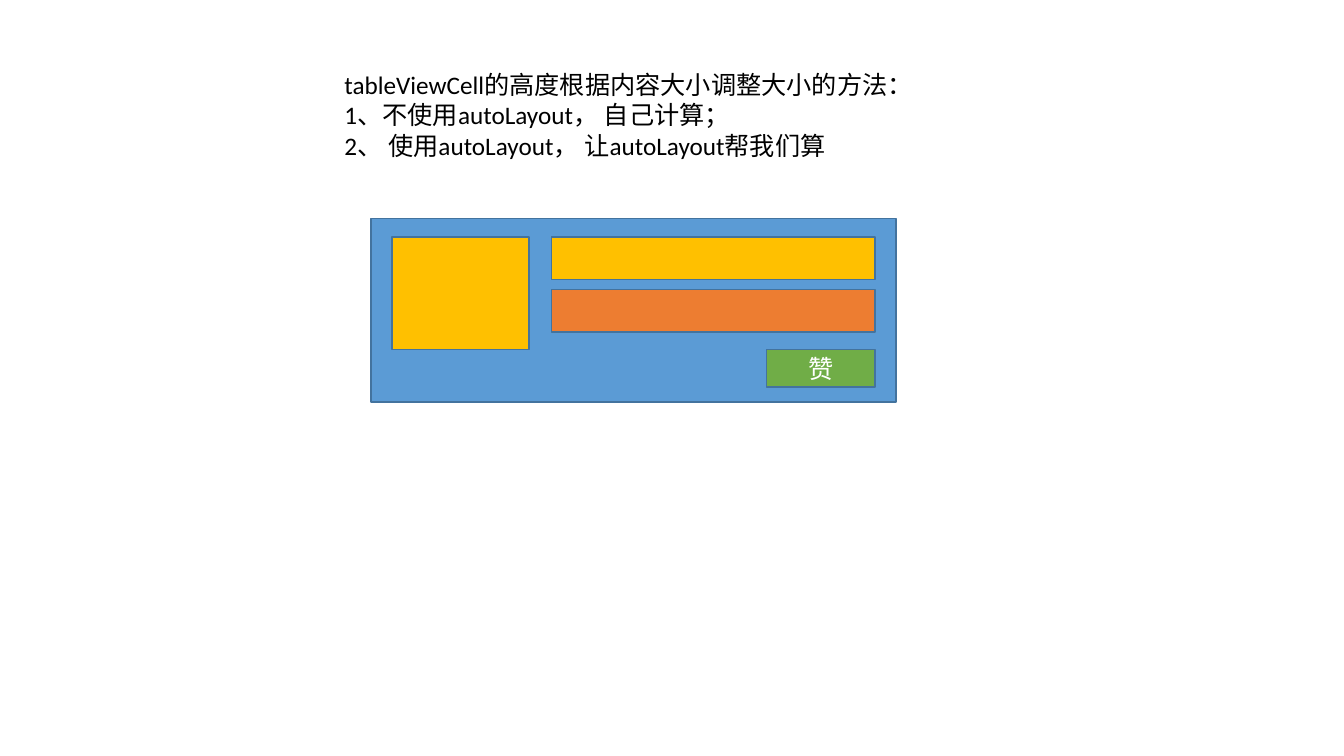
from pptx import Presentation
from pptx.dml.color import RGBColor
from pptx.enum.shapes import MSO_SHAPE
from pptx.enum.text import MSO_ANCHOR, MSO_AUTO_SIZE, PP_ALIGN
from pptx.util import Pt

RECT = MSO_SHAPE.RECTANGLE
MIDDLE = MSO_ANCHOR.MIDDLE
GROW = MSO_AUTO_SIZE.SHAPE_TO_FIT_TEXT
CENTER = PP_ALIGN.CENTER
FONT = "Calibri"
COLORS = {
    "blue": "5B9BD5",
    "gold": "FFC000",
    "orange": "ED7D31",
    "green": "70AD47",
    "edge": "43739E",
    "black": "000000",
    "white": "FFFFFF",
}


def rgb(name):
    """Return the named colour."""
    return RGBColor.from_string(COLORS[name])


def write(frame, lines, color):
    """Put lines of 18 point text into a frame."""
    frame.text = "\n".join(lines)
    for para in frame.paragraphs:
        for run in para.runs:
            run.font.name = FONT
            run.font.size = Pt(18)
            run.font.color.rgb = rgb(color)


deck = Presentation()
deck.slide_width, deck.slide_height = Pt(960), Pt(540)
slide = deck.slides.add_slide(deck.slide_layouts[6])

# Methods for sizing the cell
notes = slide.shapes.add_textbox(Pt(239), Pt(46), Pt(451), Pt(72.7)).text_frame
notes.word_wrap = True
notes.auto_size = GROW
write(notes, [
    "tableViewCell的高度根据内容大小调整大小的方法：",
    "1、不使用autoLayout， 自己计算； ",
    "2、 使用autoLayout， 让autoLayout帮我们算",
], "black")

# Cell mock-up: left, top, width, height, fill, label
right, top = 625, 169.2
bar_w, bar_h, step = 231, 30.4, 37.6
like_w = 77.6
parts = [
    (265, 156.2, 375, 131, "blue", ""),
    (280, top, 98, 80.6, "gold", ""),
    (right - bar_w, top, bar_w, bar_h, "gold", ""),
    (right - bar_w, top + step, bar_w, bar_h, "orange", ""),
    (right - like_w, 249.8, like_w, 26.8, "green", "赞"),
]
for *place, fill, label in parts:
    box = slide.shapes.add_shape(RECT, *[Pt(n) for n in place])
    box.shadow.inherit = False
    box.fill.solid()
    box.fill.fore_color.rgb = rgb(fill)
    box.line.color.rgb = rgb("edge")
    box.line.width = Pt(1)
    if label:
        frame = box.text_frame
        frame.vertical_anchor = MIDDLE
        write(frame, [label], "white")
        frame.paragraphs[0].alignment = CENTER

deck.save("out.pptx")
